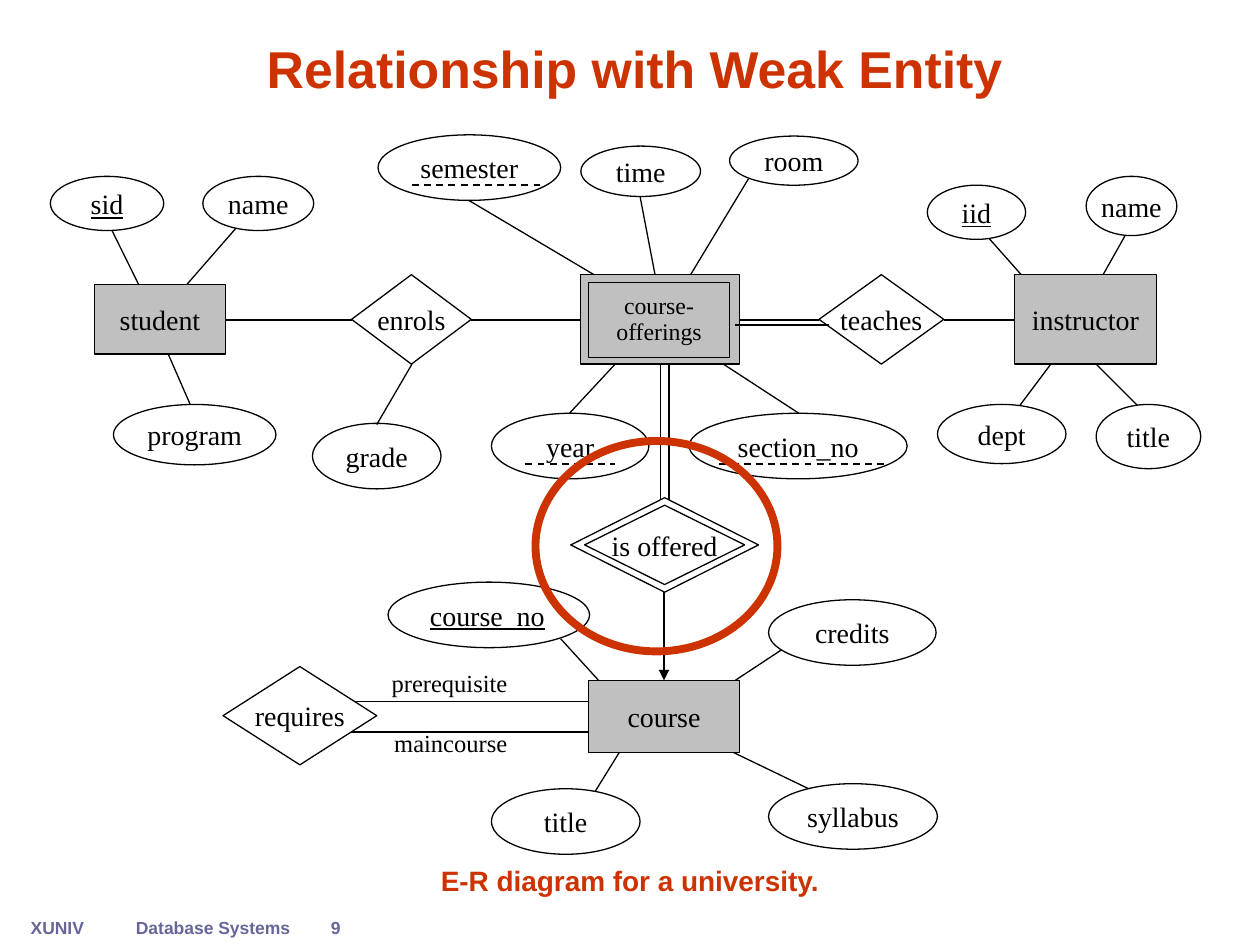
from lxml.etree import SubElement
from pptx import Presentation
from pptx.dml.color import RGBColor
from pptx.enum.dml import MSO_LINE
from pptx.enum.shapes import MSO_CONNECTOR, MSO_SHAPE
from pptx.enum.text import MSO_ANCHOR, PP_ALIGN
from pptx.oxml.ns import qn
from pptx.util import Inches, Pt

BLACK, WHITE, GRAY, RED, PURPLE = "000000", "FFFFFF", "C0C0C0", "CC3300", "666699"
SERIF, SANS = "Times New Roman", "Arial"

LINKS = [
    (7.75, 1.78, 8.38, 2.49), (9.02, 1.71, 8.62, 2.42),
    (7.89, 3.49, 8.46, 2.73), (9.33, 3.52, 8.54, 2.73),
    (4.75, 5.57, 2.78, 5.57), (4.75, 5.81, 2.78, 5.81),
    (6.29, 5.1, 5.79, 5.43), (6.48, 6.29, 5.63, 5.88),
    (4.45, 5.07, 5.27, 5.97), (5.27, 5.4, 4.6, 6.48),
    (5.31, 4.07, 5.31, 2.81), (5.24, 4.07, 5.24, 2.81),
    (4.52, 3.28, 5.18, 2.57), (6.34, 3.28, 5.25, 2.57),
    (5.94, 1.42, 5.27, 2.53), (5.08, 1.56, 5.26, 2.5),
    (3.72, 1.59, 5.22, 2.48), (3.27, 2.89, 2.99, 3.37),
    (0.83, 1.71, 1.22, 2.5), (1.9, 1.78, 1.35, 2.41),
    (1.3, 2.73, 1.61, 3.44),
    (1.78, 2.54, 2.79, 2.54), (3.74, 2.54, 4.61, 2.54),
    (5.87, 2.54, 6.5, 2.54), (7.49, 2.54, 8.05, 2.54),
]
CARDINALITY = (5.27, 4.7, 5.27, 5.4)
TOTAL_PARTICIPATION = (5.83, 2.58, 6.58, 2.58)
PARTIAL_KEYS = [(5.71, 3.68, 7.05, 3.68), (3.27, 1.47, 4.29, 1.47), (4.17, 3.68, 4.88, 3.68)]

ATTRIBUTES = [
    ("title", 8.7, 3.21, 0.83, 0.51, WHITE),
    ("dept", 7.44, 3.21, 1.02, 0.47, WHITE),
    ("name", 8.62, 1.4, 0.72, 0.47, WHITE),
    ("iid", 7.36, 1.47, 0.78, 0.43, WHITE),
    ("course_no", 3.08, 4.62, 1.6, 0.52, None),
    ("syllabus", 6.1, 6.22, 1.34, 0.52, WHITE),
    ("credits", 6.1, 4.76, 1.33, 0.52, WHITE),
    ("time", 4.61, 1.16, 0.95, 0.4, None),
    ("room", 5.79, 1.08, 1.02, 0.39, None),
    ("section_no", 5.47, 3.28, 1.73, 0.52, WHITE),
    ("semester", 3, 1.07, 1.45, 0.52, None),
    ("year", 3.9, 3.28, 1.25, 0.52, None),
    ("grade", 2.48, 3.36, 1.02, 0.52, None),
    ("name", 1.61, 1.4, 0.88, 0.43, WHITE),
    ("sid", 0.4, 1.4, 0.9, 0.43, WHITE),
    ("program", 0.9, 3.21, 1.29, 0.48, WHITE),
    ("title", 3.9, 6.26, 1.18, 0.52, WHITE),
]
KEYS = {"sid", "iid", "course_no"}
ENTITIES = [
    ("student", 0.75, 2.26, 1.04, 0.55),
    ("instructor", 8.05, 2.18, 1.13, 0.71),
    ("course", 4.67, 5.4, 1.2, 0.57),
]
RELATIONSHIPS = [
    ("requires", 1.77, 5.29, 1.22, 0.78),
    ("is offered", 4.64, 4.01, 1.27, 0.63),
    ("enrols", 2.79, 2.18, 0.95, 0.71),
    ("teaches", 6.5, 2.18, 0.99, 0.71),
]
ROLES = [("prerequisite", 3.01, 5.25, 1.43, 0.34), ("maincourse", 3.03, 5.73, 1.42, 0.34)]
FOOTER = [
    ("XUNIV", 0.12, 7.23, 0.67, 0.27),
    ("9", 2.23, 7.23, 0.87, 0.27),
    ("Database Systems", 0.98, 7.23, 1.42, 0.27),
]

presentation = Presentation()
presentation.slide_width, presentation.slide_height = Inches(10), Inches(7.5)
slide = presentation.slides.add_slide(presentation.slide_layouts[6])


def rgb(code):
    return RGBColor.from_string(code)


def assign(target, values):
    for name, value in values.items():
        setattr(target, name, value)


def write(holder, text, size=16, font=SERIF, color=BLACK, bold=False, underline=False,
          align=PP_ALIGN.CENTER, anchor=MSO_ANCHOR.MIDDLE, wrap=False, before=10, spacing=None):
    assign(holder.text_frame, {"word_wrap": wrap, "vertical_anchor": anchor})
    paragraph = holder.text_frame.paragraphs[0]
    assign(paragraph, {"alignment": align, "space_before": Pt(before), "line_spacing": spacing})
    run = paragraph.add_run()
    run.text = text
    assign(run.font, {"size": Pt(size), "name": font, "bold": bold, "underline": underline})
    run.font.color.rgb = rgb(color)


def add_outline(kind, x, y, w, h, fill=None, color=BLACK, width=0.75):
    outline = slide.shapes.add_shape(kind, *map(Inches, (x, y, w, h)))
    outline.shadow.inherit = False
    if fill:
        outline.fill.solid()
        outline.fill.fore_color.rgb = rgb(fill)
    else:
        outline.fill.background()
    outline.line.color.rgb = rgb(color)
    outline.line.width = Pt(width)
    return outline


def add_label(text, x, y, w, h, **style):
    write(slide.shapes.add_textbox(*map(Inches, (x, y, w, h))), text, **style)


def add_link(ends, width=0.75):
    link = slide.shapes.add_connector(MSO_CONNECTOR.STRAIGHT, *map(Inches, ends))
    link.line.color.rgb = rgb(BLACK)
    link.line.width = Pt(width)
    SubElement(link._element.spPr, qn("a:effectLst"))
    return link


for text, *box in FOOTER:
    add_label(text, *box, size=10, font=SANS, color=PURPLE, bold=True, before=6.2,
              anchor=MSO_ANCHOR.TOP)
add_label("E-R diagram for a university.", 0.75, 6.66, 8.5, 0.51, font=SANS, color=RED,
          bold=True, wrap=True, before=0, anchor=MSO_ANCHOR.BOTTOM)

for ends in LINKS:
    add_link(ends)

for text, *box in ROLES:
    add_label(text, *box, size=14, align=PP_ALIGN.LEFT, anchor=MSO_ANCHOR.TOP, wrap=True,
              before=8.8)

for text, *box in ATTRIBUTES:
    left_aligned = text == "course_no"
    write(add_outline(MSO_SHAPE.OVAL, *box), text, underline=text in KEYS, wrap=left_aligned,
          align=PP_ALIGN.LEFT if left_aligned else PP_ALIGN.CENTER)

for text, *box in ENTITIES:
    write(add_outline(MSO_SHAPE.FLOWCHART_PROCESS, *box, GRAY), text)

add_outline(MSO_SHAPE.RECTANGLE, 4.61, 2.18, 1.26, 0.71, GRAY)
weak_entity = add_outline(MSO_SHAPE.RECTANGLE, 4.67, 2.24, 1.12, 0.6, GRAY)
write(weak_entity, "course- offerings", size=13.6, wrap=True, spacing=0.9)

add_outline(MSO_SHAPE.DIAMOND, 4.53, 3.95, 1.49, 0.75, WHITE)
for text, *box in RELATIONSHIPS:
    write(add_outline(MSO_SHAPE.FLOWCHART_DECISION, *box, WHITE), text)

cardinality = add_link(CARDINALITY)
SubElement(cardinality.line._get_or_add_ln(), qn("a:tailEnd"), type="triangle")
for ends in PARTIAL_KEYS:
    add_link(ends, 1).line.dash_style = MSO_LINE.DASH

add_label("Relationship with Weak Entity", 0.33, 0.22, 9.42, 0.62, size=29.6, font=SANS,
          color=RED, bold=True, wrap=True, before=0, spacing=0.9, anchor=MSO_ANCHOR.BOTTOM)
add_outline(MSO_SHAPE.OVAL, 4.25, 3.5, 1.92, 1.67, color=RED, width=4.5)
add_link(TOTAL_PARTICIPATION)

presentation.save("out.pptx")
